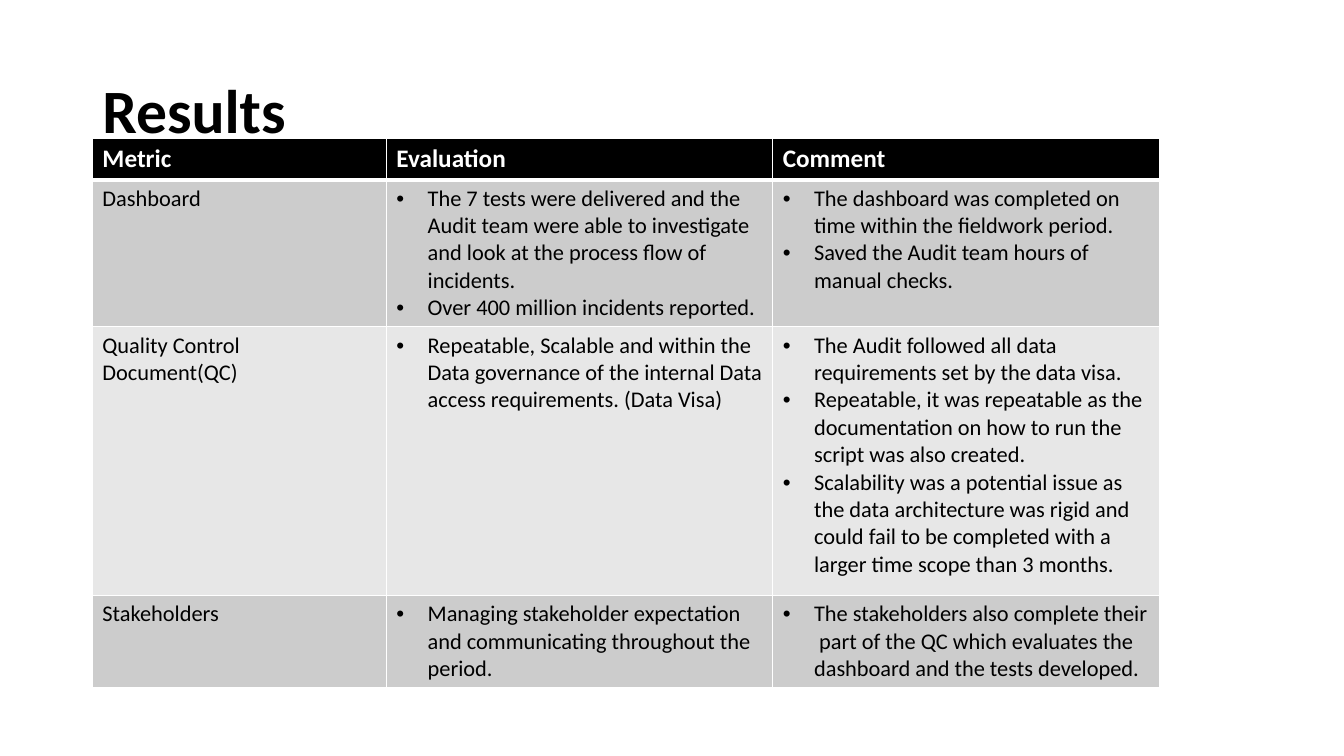
from dataclasses import dataclass

from lxml import etree
from pptx import Presentation
from pptx import util as u
from pptx.dml import color
from pptx.enum import text
from pptx.oxml import ns

GRID_COLUMNS, GRID_ROWS = 160, 90
SLIDE_WIDTH, SLIDE_HEIGHT = u.Inches(13.33), u.Inches(7.5)


@dataclass(frozen=True)
class Theme:
    font: str = "Calibri"
    title_size: int = 44
    header_size: int = 18
    body_size: int = 16
    dark: str = "000000"
    light: str = "FFFFFF"
    bands: tuple[str, str] = ("CCCCCC", "E7E7E7")
    border: float = 1
    header_border: float = 3
    bullet_indent: float = 0.31


@dataclass(frozen=True)
class Result:
    metric: str
    evaluation: list[str]
    comment: list[str]
    height: float


THEME = Theme()
TITLE_AREA = (11, 4.8, 138, 17.4)
TABLE_LEFT, TABLE_TOP = 11, 16.5
COLUMN_WIDTHS = (35, 46, 46)
HEADER_HEIGHT = 4.9
HEADINGS = ("Metric", "Evaluation", "Comment")
RESULTS = [
    Result(
        "Dashboard",
        ["The 7 tests were delivered and the Audit team were able to investigate "
         "and look at the process flow of incidents.",
         "Over 400 million incidents reported."],
        ["The dashboard was completed on time within the fieldwork period.",
         "Saved the Audit team hours of manual checks."],
        17.5,
    ),
    Result(
        "Quality Control Document(QC)",
        ["Repeatable, Scalable and within the Data governance of the internal Data "
         "access requirements. (Data Visa)"],
        ["The Audit followed all data requirements set by the data visa.",
         "Repeatable, it was repeatable as the documentation on how to run the "
         "script was also created.",
         "Scalability was a potential issue as the data architecture was rigid and "
         "could fail to be completed with a larger time scope than 3 months."],
        32,
    ),
    Result(
        "Stakeholders",
        ["Managing stakeholder expectation and communicating throughout the period."],
        ["The stakeholders also complete their  part of the QC which evaluates the "
         "dashboard and the tests developed."],
        11,
    ),
]


def across(columns: float) -> int:
    return round(SLIDE_WIDTH * columns / GRID_COLUMNS)


def down(rows: float) -> int:
    return round(SLIDE_HEIGHT * rows / GRID_ROWS)


def style(para, size: float, ink: str, bold: bool) -> None:
    for span in para.runs:
        span.font.name = THEME.font
        span.font.size = u.Pt(size)
        span.font.bold = bold
        span.font.color.rgb = color.RGBColor.from_string(ink)


def add_bullet(para) -> None:
    properties = para._p.get_or_add_pPr()
    indent = u.Inches(THEME.bullet_indent)
    properties.set("marL", str(indent))
    properties.set("indent", str(-indent))
    etree.SubElement(properties, ns.qn("a:buFont"), typeface="Arial")
    etree.SubElement(properties, ns.qn("a:buChar"), char="•")


def add_borders(cell, bottom: float) -> None:
    properties = cell._tc.get_or_add_tcPr()
    widths = {"L": THEME.border, "R": THEME.border, "T": THEME.border, "B": bottom}
    for side, width in widths.items():
        line = etree.SubElement(properties, ns.qn(f"a:ln{side}"), w=str(u.Pt(width)))
        fill = etree.SubElement(line, ns.qn("a:solidFill"))
        etree.SubElement(fill, ns.qn("a:srgbClr"), val=THEME.light)


def fill_cell(cell, lines: list[str], fill: str, header: bool = False,
              bulleted: bool = False) -> None:
    add_borders(cell, THEME.header_border if header else THEME.border)
    cell.fill.solid()
    cell.fill.fore_color.rgb = color.RGBColor.from_string(fill)
    cell.text_frame.text = "\n".join(lines)
    for para in cell.text_frame.paragraphs:
        if bulleted:
            add_bullet(para)
        if header:
            style(para, THEME.header_size, THEME.light, True)
        else:
            style(para, THEME.body_size, THEME.dark, False)


def add_title(page, words: str) -> None:
    left, top, width, height = TITLE_AREA
    box = page.shapes.add_textbox(across(left), down(top), across(width), down(height))
    frame = box.text_frame
    frame.word_wrap = True
    frame.vertical_anchor = text.MSO_ANCHOR.MIDDLE
    frame.text = words
    frame.paragraphs[0].line_spacing = 0.9
    style(frame.paragraphs[0], THEME.title_size, THEME.dark, True)


def add_results(page, results: list[Result]) -> None:
    heights = [HEADER_HEIGHT, *(result.height for result in results)]
    table = page.shapes.add_table(
        len(heights), len(COLUMN_WIDTHS), across(TABLE_LEFT), down(TABLE_TOP),
        across(sum(COLUMN_WIDTHS)), down(sum(heights))).table
    for column, width in zip(table.columns, COLUMN_WIDTHS):
        column.width = across(width)
    for row, height in zip(table.rows, heights):
        row.height = down(height)
    for index, heading in enumerate(HEADINGS):
        fill_cell(table.cell(0, index), [heading], THEME.dark, header=True)
    for number, result in enumerate(results):
        entries = ([result.metric], result.evaluation, result.comment)
        for index, lines in enumerate(entries):
            fill_cell(table.cell(number + 1, index), lines, THEME.bands[number % 2],
                      bulleted=index > 0)


def main() -> None:
    deck = Presentation()
    deck.slide_width, deck.slide_height = SLIDE_WIDTH, SLIDE_HEIGHT
    page = deck.slides.add_slide(deck.slide_layouts[6])
    add_title(page, "Results")
    add_results(page, RESULTS)
    deck.save("out.pptx")


if __name__ == "__main__":
    main()
